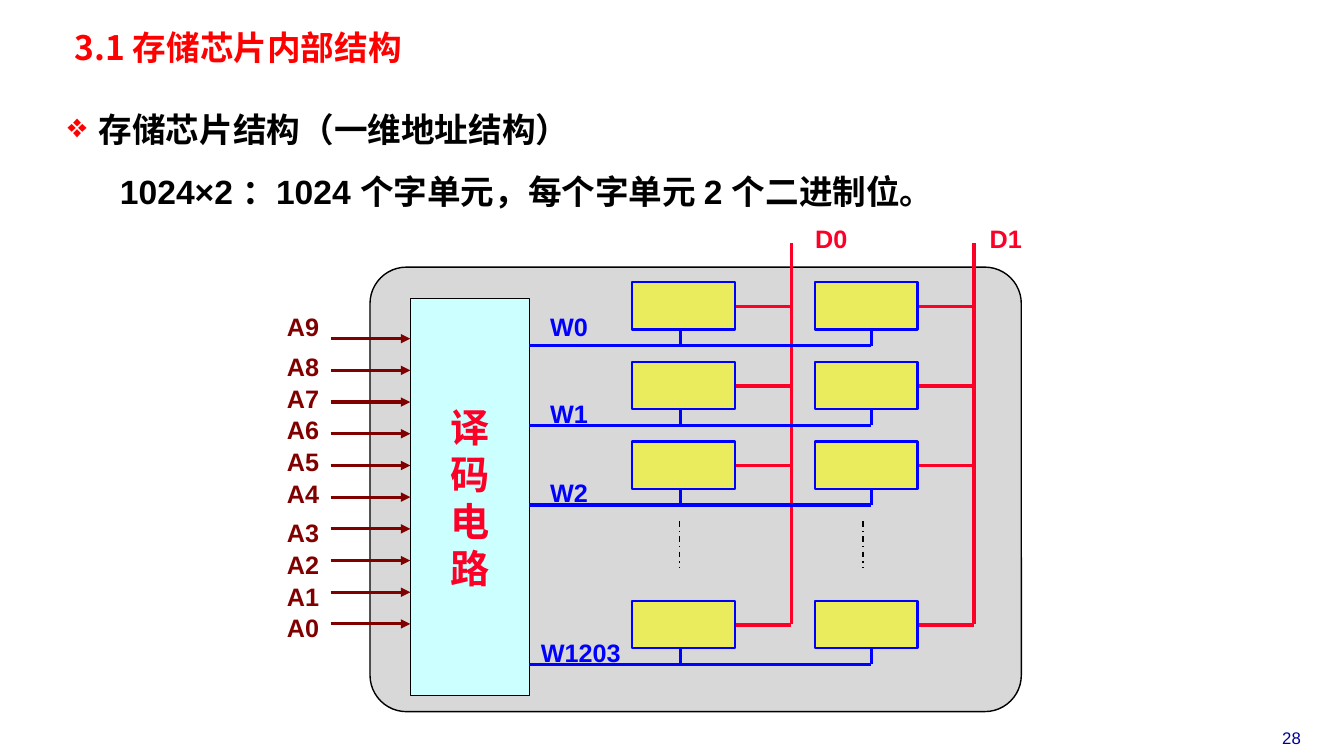
import pptx
import pptx.util
import pptx.dml.color
import pptx.enum.dml
import pptx.enum.shapes
import pptx.enum.text
import pptx.oxml.ns
from lxml import etree

Inches = pptx.util.Inches
Pt = pptx.util.Pt
RGBColor = pptx.dml.color.RGBColor
Kind = pptx.enum.shapes.MSO_SHAPE
Align = pptx.enum.text.PP_ALIGN
Anchor = pptx.enum.text.MSO_ANCHOR
Dash = pptx.enum.dml.MSO_LINE
qn = pptx.oxml.ns.qn

BLACK = RGBColor(0x00, 0x00, 0x00)
RED = RGBColor(0xFF, 0x00, 0x00)
ROSE = RGBColor(0xFC, 0x01, 0x28)
BLUE = RGBColor(0x00, 0x00, 0xFF)
NAVY = RGBColor(0x00, 0x00, 0x99)
BROWN = RGBColor(0x80, 0x00, 0x00)
GREY = RGBColor(0xBF, 0xBF, 0xBF)
CYAN = RGBColor(0xCC, 0xFF, 0xFF)
YELLOW = RGBColor(0xEA, 0xEC, 0x5E)
CJK = "Noto Sans CJK SC"

deck = pptx.Presentation()
deck.slide_width = Inches(13.33)
deck.slide_height = Inches(7.5)
slide = deck.slides.add_slide(deck.slide_layouts[5])
shapes = slide.shapes


def write(text, at=None, frame=None, size=18, color=BLACK, bold=True,
          font="Arial", align=Align.CENTER, line=None, inset=(0.1, 0.05)):
    if frame is None:
        frame = shapes.add_textbox(*map(Inches, at)).text_frame
    frame.word_wrap = True
    frame.margin_left = frame.margin_right = Inches(inset[0])
    frame.margin_top = frame.margin_bottom = Inches(inset[1])
    frame.text = text
    for para in frame.paragraphs:
        para.alignment = align
        if line:
            para.line_spacing = Pt(line)
        for run in para.runs:
            run.font.name = font
            run.font.size = Pt(size)
            run.font.bold = bold
            run.font.color.rgb = color
            east = etree.SubElement(run.font._element, qn("a:ea"))
            east.set("typeface", CJK)
    return frame


def wire(x1, y1, x2, y2, color, width=2.25, dash=None, arrow=False):
    link = shapes.add_connector(pptx.enum.shapes.MSO_CONNECTOR.STRAIGHT,
                                *map(Inches, (x1, y1, x2, y2)))
    link.line.color.rgb = color
    link.line.width = Pt(width)
    if dash:
        link.line.dash_style = dash
    if arrow:
        tail = etree.SubElement(link.line._get_or_add_ln(), qn("a:tailEnd"))
        tail.set("type", "triangle")
    etree.SubElement(link._element.spPr, qn("a:effectLst"))


rows = [2.8 + 0.79 * n for n in (0, 1, 2, 4)]
cols = [6.27, 8.08]
boxes = [(Kind.ROUNDED_RECTANGLE, (3.67, 2.65, 6.46, 4.41), GREY, BLACK, 1)]
for left in cols:
    for top in rows:
        boxes.append((Kind.RECTANGLE, (left, top, 1.02, 0.47), YELLOW, BLUE, 1.5))
boxes.append((Kind.RECTANGLE, (4.07, 2.96, 1.18, 3.94), CYAN, BLACK, 1))

drawn = []
for kind, at, fill, edge, width in boxes:
    box = shapes.add_shape(kind, *map(Inches, at))
    box.shadow.inherit = False
    box.fill.solid()
    box.fill.fore_color.rgb = fill
    box.line.color.rgb = edge
    box.line.width = Pt(width)
    drawn.append(box)

chip, coder = drawn[0], drawn[-1]
chip.adjustments[0] = 0.082
shade = chip._element.spPr.find(".//" + qn("a:srgbClr"))
etree.SubElement(shade, qn("a:alpha")).set("val", "60000")
coder.text_frame.vertical_anchor = Anchor.MIDDLE
write("译\n码\n电\n路", frame=coder.text_frame, size=28, color=ROSE,
      font=CJK, line=33.6)

title = shapes.title
title.left, title.top, title.width, title.height = map(
    Inches, (0.67, 0.28, 6.42, 0.41))
title.text_frame.vertical_anchor = Anchor.TOP
write("3.1 存储芯片内部结构", frame=title.text_frame, size=24, color=RED,
      font=CJK, align=Align.LEFT, line=26, inset=(0.07, 0.03))

body = write("存储芯片结构（一维地址结构）\n1024×2 ：1024 个字单元，每个字单元 2 个二进制位。",
             at=(0.6, 0.84, 9.46, 1.19), size=24, align=Align.LEFT, line=44,
             inset=(0.07, 0.03))
body.paragraphs[1].level = 1
for para, margin, indent in zip(body.paragraphs, (0.31, 0.73), (-0.31, -0.21)):
    props = para._p.get_or_add_pPr()
    props.set("marL", str(Inches(margin)))
    props.set("indent", str(Inches(indent)))
props = body.paragraphs[0]._p.get_or_add_pPr()
tint = etree.SubElement(props, qn("a:buClr"))
etree.SubElement(tint, qn("a:srgbClr")).set("val", str(RED))
etree.SubElement(props, qn("a:buChar")).set("char", "❖")

for name, x, left in (("D0", 7.85, 7.85), ("D1", 9.66, 9.58)):
    wire(x, 2.41, x, 6.19, ROSE)
    for top in rows:
        wire(x - 0.55, top + 0.24, x, top + 0.24, ROSE)
    write(name, at=(left, 2.17, 0.79, 0.4), color=ROSE)

for x in (6.74, 8.56):
    wire(x, 5.17, x, 5.64, BLACK, width=1, dash=Dash.DASH_DOT)

words = [("W0", 5.33, 3.04, 0.63), ("W1", 5.33, 3.9, 0.63),
         ("W2", 5.33, 4.69, 0.63), ("W1203", 5.25, 6.27, 1.02)]
for top, (name, left, high, wide) in zip(rows, words):
    bus = top + 0.63
    wire(5.25, bus, 8.64, bus, BLUE)
    for x in (6.75, 8.64):
        wire(x, top + 0.47, x, bus, BLUE)
    write(name, at=(left, high, wide, 0.4), color=BLUE)

step = (6.19 - 3.36) / 9
for i in range(10):
    y = 3.36 + step * i
    wire(3.28, y, 4.07, y, BROWN, arrow=True)
    shift = 0.08 * ((i > 0) + (i > 5))
    write(f"A{9 - i}", at=(2.73, y - 0.32 + shift, 0.55, 0.4), color=BROWN)

write("28", at=(12.34, 7.17, 0.94, 0.3), size=12, color=NAVY, bold=False)

deck.save("out.pptx")
